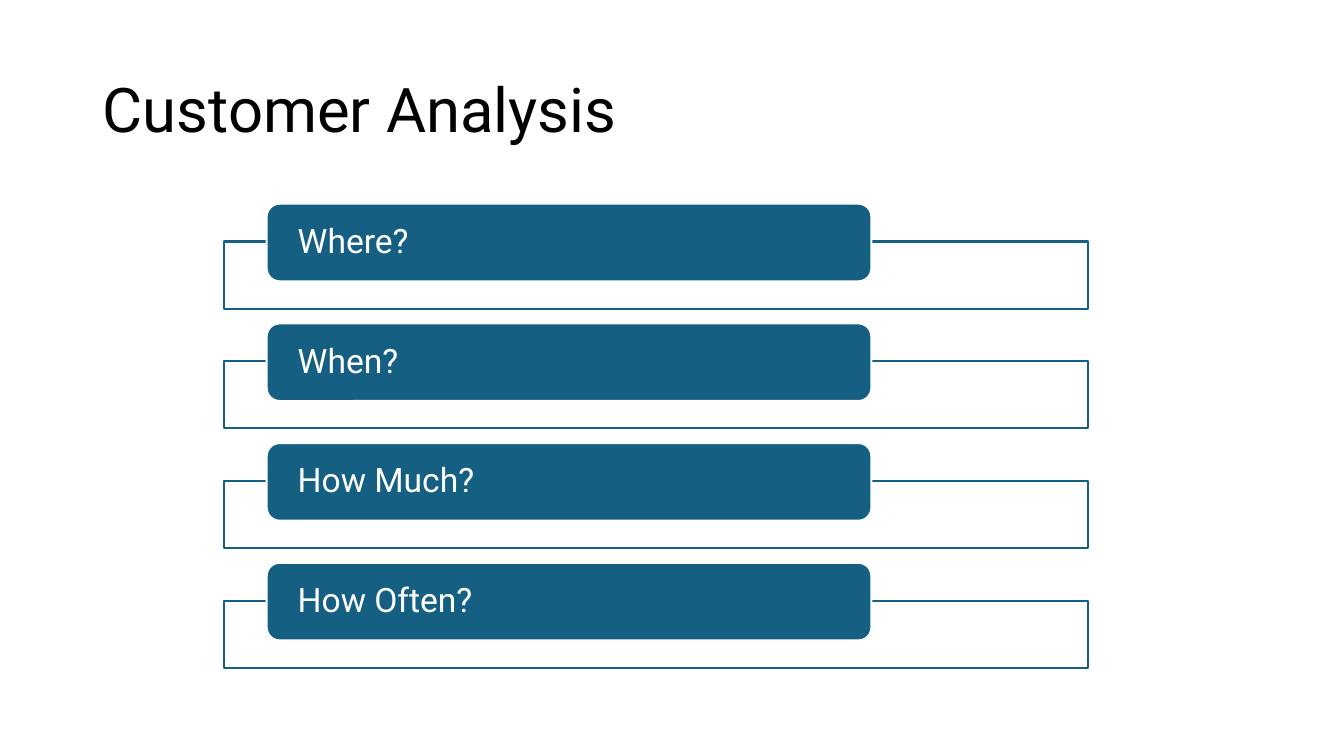
from pptx import Presentation
from pptx.dml.color import RGBColor
from pptx.enum.shapes import MSO_SHAPE as Shape
from pptx.enum.text import MSO_ANCHOR as Anchor, PP_ALIGN as Align
from pptx.util import Emu, Pt

FONT = "Roboto"
BLUE, WHITE, BLACK = "156082", "FFFFFF", "000000"
QUESTIONS = ["Where?", "When?", "How Much?", "How Often?"]

# Question rows
FIRST_TOP, ROW_STEP = 194, 114
FRAME_DROP = 36


def px(length):
    return Emu(length * 9525)


def color(code):
    return RGBColor.from_string(code)


def write(box, text, size, code, inset_x, inset_y):
    frame = box.text_frame
    frame.word_wrap = True
    frame.vertical_anchor = Anchor.MIDDLE
    frame.margin_left = frame.margin_right = px(inset_x)
    frame.margin_top = frame.margin_bottom = px(inset_y)
    para = frame.paragraphs[0]
    para.text = text
    para.alignment = Align.LEFT
    para.line_spacing = 0.9
    para.font.name = FONT
    para.font.size = Pt(size)
    para.font.color.rgb = color(code)


def add_title(page, text):
    box = page.shapes.add_textbox(px(88), px(38), px(1104), px(139))
    write(box, text, 44, BLACK, 10, 5)


def add_block(page, kind, left, top, width, height, fill, line):
    block = page.shapes.add_shape(kind, px(left), px(top), px(width), px(height))
    block.shadow.inherit = False
    block.fill.solid()
    block.fill.fore_color.rgb = color(fill)
    block.line.color.rgb = color(line)
    block.line.width = Pt(1.5)
    return block


def add_question(page, text, top):
    add_block(page, Shape.RECTANGLE, 213, top + FRAME_DROP, 823, 64, WHITE, BLUE)
    label = add_block(page, Shape.ROUNDED_RECTANGLE, 254, top, 576, 74, BLUE, WHITE)
    write(label, text, 24, WHITE, 26, 0)


def main():
    deck = Presentation()
    deck.slide_width, deck.slide_height = px(1280), px(720)
    page = deck.slides.add_slide(deck.slide_layouts[6])

    add_title(page, "Customer Analysis")
    for row, question in enumerate(QUESTIONS):
        add_question(page, question, FIRST_TOP + row * ROW_STEP)

    deck.save("out.pptx")


if __name__ == "__main__":
    main()
